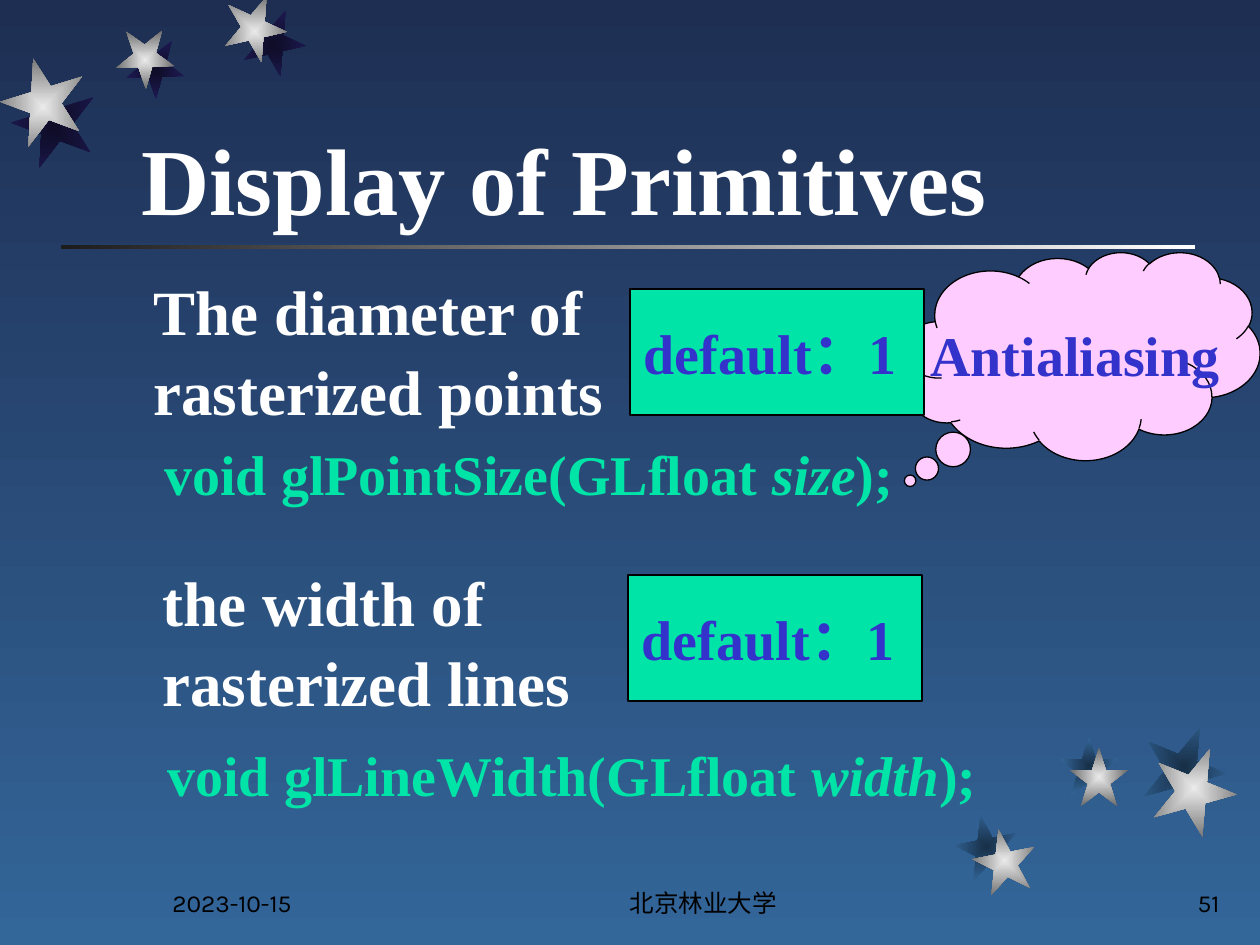
import dataclasses

import lxml.etree
import pptx
import pptx.dml.color
import pptx.enum.shapes
import pptx.enum.text
import pptx.oxml
import pptx.oxml.ns
import pptx.util

SCALE = 914400 / 126
SHAPE = pptx.enum.shapes.MSO_SHAPE
ALIGN = pptx.enum.text.PP_ALIGN
ANCHOR = pptx.enum.text.MSO_ANCHOR


@dataclasses.dataclass(frozen=True)
class Theme:
    sky: tuple = ("1E2E53", "336699")
    rule: tuple = ("1C1C1C", "FFFFFF")
    star: tuple = ("EAEAEA", "6C6C6C")
    upper_shadow: tuple = ("0E0C26", "1E1A53")
    lower_shadow: tuple = ("182F47", "336699")
    white: str = "FFFFFF"
    black: str = "000000"
    mint: str = "00E4A8"
    blue: str = "3333CC"
    pink: str = "FFCCFF"
    serif: str = "Times New Roman"
    sans: str = "Karla"
    title_size: int = 54
    heading_size: int = 36
    code_size: int = 32
    footer_size: int = 14


THEME = Theme()


def px(length):
    return pptx.util.Emu(round(length * SCALE))


def rgb(colour):
    return pptx.dml.color.RGBColor.from_string(colour)


def paint_gradient(fill, colours, angle=0, centred=False):
    fill.gradient()
    fill.gradient_angle = angle
    for stop, colour in zip(fill.gradient_stops, colours):
        stop.color.rgb = rgb(colour)
    return fill


def centre_gradient(star):
    linear = star._element.spPr.find(".//" + pptx.oxml.ns.qn("a:lin"))
    radial = pptx.oxml.parse_xml(
        f'<a:path {pptx.oxml.ns.nsdecls("a")} path="rect">'
        '<a:fillToRect l="50000" t="50000" r="50000" b="50000"/></a:path>'
    )
    linear.getparent().replace(linear, radial)


def add_block(slide, kind, box, fill=None, outline=None):
    block = slide.shapes.add_shape(kind, *map(px, box))
    block.shadow.inherit = False
    if fill:
        block.fill.solid()
        block.fill.fore_color.rgb = rgb(fill)
    if outline:
        block.line.color.rgb = rgb(outline)
        block.line.width = pptx.util.Pt(0.75)
    else:
        block.line.fill.background()
    return block


def write(holder, text, size, colour, font=THEME.serif, bold=True, italic_part=None,
          align=ALIGN.LEFT, anchor=ANCHOR.TOP, wrap=True, spacing=None):
    frame = holder.text_frame
    frame.word_wrap = wrap
    frame.vertical_anchor = anchor
    paragraph = frame.paragraphs[0]
    paragraph.alignment = align
    if spacing:
        paragraph.line_spacing = spacing
    pieces = [text]
    if italic_part:
        before, after = text.split(italic_part)
        pieces = [before, italic_part, after]
    for piece in pieces:
        run = paragraph.add_run()
        run.text = piece
        run.font.name = font
        run.font.size = pptx.util.Pt(size)
        run.font.bold = bold
        run.font.italic = piece == italic_part
        run.font.color.rgb = rgb(colour)


def add_label(slide, box, text, size, colour, **style):
    write(slide.shapes.add_textbox(*map(px, box)), text, size, colour, **style)


def add_stars(slide, left, top, stars, shadow_colours):
    for shadowed in (True, False):
        colours = shadow_colours if shadowed else THEME.star
        for x, y, size, turn, shadow_x, shadow_y in stars:
            if shadowed:
                x, y = x + shadow_x, y + shadow_y
            star = add_block(slide, SHAPE.STAR_5_POINT, (left + x, top + y, size, size))
            paint_gradient(star.fill, colours)
            centre_gradient(star)
            star.rotation = turn


def add_title(slide, left, top, width, height):
    title = slide.shapes.title
    title.left, title.top, title.width, title.height = map(px, (left, top, width, height))
    write(title, "Display of Primitives", THEME.title_size, THEME.white, anchor=ANCHOR.BOTTOM)


def add_rule(slide, left, top, width, height):
    rule = add_block(slide, SHAPE.RECTANGLE, (left, top, width, height))
    paint_gradient(rule.fill, THEME.rule)


def add_setting(slide, left, top, width, heading, call, argument, call_offset):
    add_label(slide, (left, top, width, 164), heading, THEME.heading_size, THEME.white,
              spacing=1.05)
    x, y = call_offset
    add_label(slide, (left + x, top + y, 890, 81), call, THEME.code_size, THEME.mint,
              italic_part=argument, spacing=1.05)


def add_antialiasing(slide, left, top, width, height):
    cloud = add_block(slide, SHAPE.CLOUD_CALLOUT, (left, top, width, height),
                      THEME.pink, THEME.black)
    cloud.adjustments[0], cloud.adjustments[1] = -0.48, 0.6
    add_label(slide, (left + 15, top + 59, 315, 81), "Antialiasing",
              THEME.code_size, THEME.blue, wrap=False, spacing=1.05)


def add_default(slide, left, top, width, height):
    default = add_block(slide, SHAPE.RECTANGLE, (left, top, width, height),
                        THEME.mint, THEME.black)
    write(default, "default：1 ", THEME.code_size, THEME.blue, align=ALIGN.CENTER,
          anchor=ANCHOR.MIDDLE, wrap=False)


def add_footer(slide, left, top, height):
    for x, width, text, align in (
        (0, 262, "2023-10-15", ALIGN.LEFT),
        (344, 399, "北京林业大学", ALIGN.CENTER),
        (810, 262, "51", ALIGN.RIGHT),
    ):
        add_label(slide, (left + x, top, width, height), text, THEME.footer_size, THEME.black,
                  font=THEME.sans, bold=False, align=align, anchor=ANCHOR.BOTTOM)


def main():
    deck = pptx.Presentation()
    deck.slide_width, deck.slide_height = px(1260), px(945)
    slide = deck.slides.add_slide(deck.slide_layouts[5])
    paint_gradient(slide.background.fill, THEME.sky, angle=270)

    add_rule(slide, 61, 245, 1134, 4)
    add_stars(slide, 0, 0, [
        (223, 0, 63, 167.3, 19, 14),
        (116, 31, 58, 178.3, 10, 10),
        (1, 65, 84, 200.3, 11, 21),
    ], THEME.upper_shadow)
    add_stars(slide, 955, 725, [
        (18, 104, 63, 349, -18, -14),
        (115, 23, 58, 0, -10, -11),
        (197, 21, 84, 22, -10, -21),
    ], THEME.lower_shadow)
    add_footer(slide, 160, 861, 63)
    add_title(slide, 129, 39, 883, 202)
    add_setting(slide, 141, 263, 538, "The diameter of rasterized points",
                "void glPointSize(GLfloat size);", "size", (11, 167))
    add_setting(slide, 150, 554, 461, "the width of rasterized lines",
                "void glLineWidth(GLfloat width);", "width", (5, 177))
    add_antialiasing(slide, 903, 252, 357, 208)
    add_default(slide, 630, 289, 294, 126)
    add_default(slide, 628, 575, 294, 126)
    deck.save("out.pptx")


if __name__ == "__main__":
    main()
